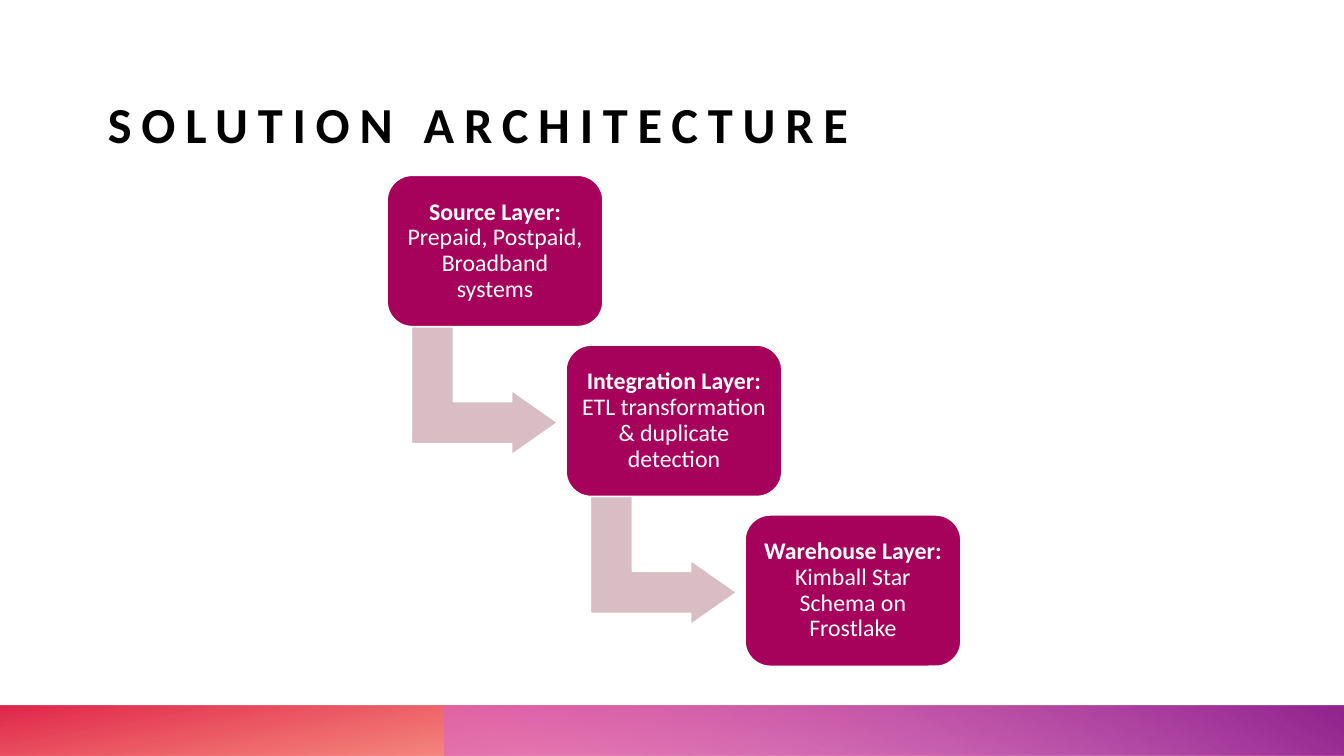
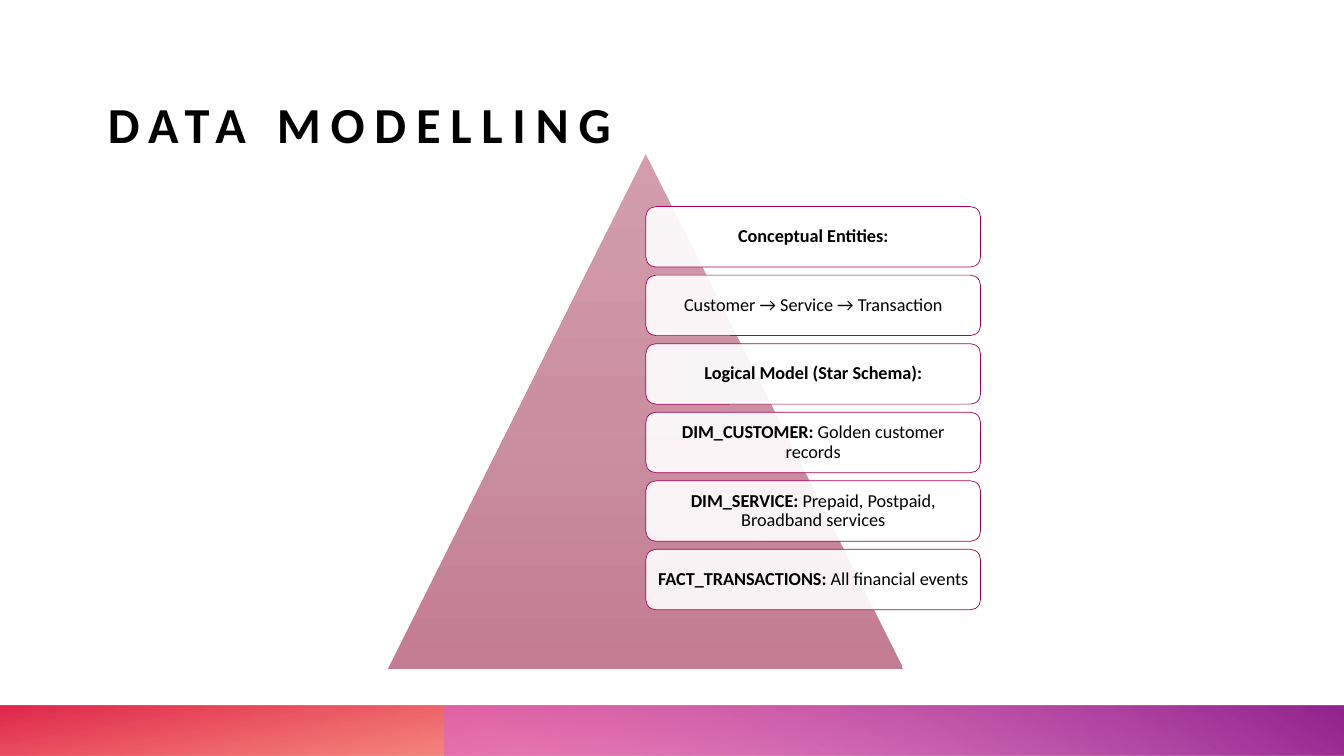
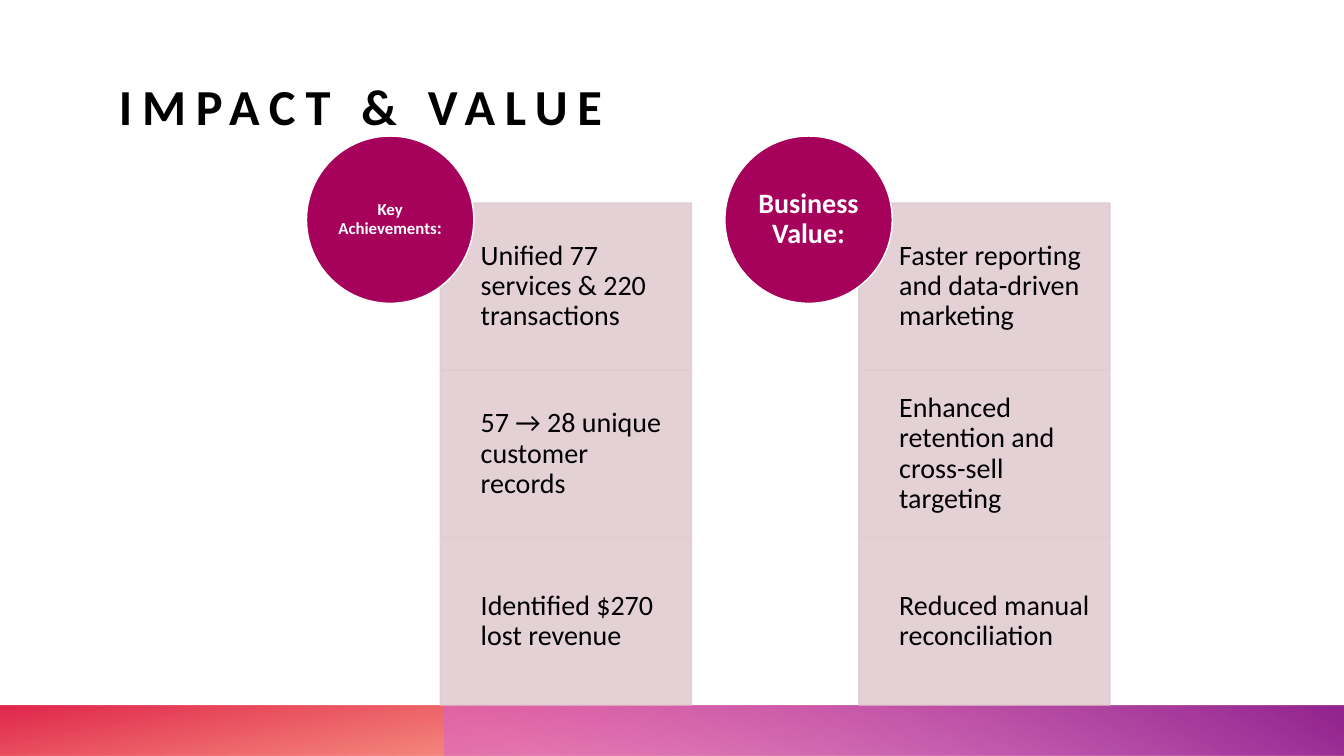
from pptx import Presentation
from pptx.dml.color import RGBColor
from pptx.enum.shapes import MSO_SHAPE as SHAPE
from pptx.enum.text import MSO_ANCHOR as ANCHOR, MSO_AUTO_SIZE, PP_ALIGN as ALIGN
from pptx.oxml import parse_xml
from pptx.oxml.ns import nsdecls, qn
from pptx.util import Inches, Pt

# Shared look
WIDTH, HEIGHT = 13.33, 7.5
BAND_H = 0.5
FONT = "Calibri"
BLACK, WHITE, MAGENTA = "000000", "FFFFFF", "A6025C"
ARROW, PANEL = "D8BDC4", "E1CCD2"
TITLE_BOX = (1.07, 0.18, 11.2, 1.35)

# Content: a run is (text, bold) or (text, bold, size)
LAYERS = [
    [("Source Layer:", True), (" Prepaid, Postpaid, Broadband systems", False)],
    [("Integration Layer:", True), (" ETL transformation & duplicate detection", False)],
    [("Warehouse Layer:", True), (" Kimball Star Schema on Frostlake", False)],
]
MODEL = [
    [("Conceptual Entities:", True)],
    [("Customer → Service → Transaction", False)],
    [("Logical Model (Star Schema):", True)],
    [("DIM_CUSTOMER:", True), (" Golden customer records", False)],
    [("DIM_SERVICE:", True), (" Prepaid, Postpaid, Broadband services", False)],
    [("FACT_TRANSACTIONS:", True), (" All financial events", False)],
]
IMPACT = [
    ([("Key Achievements", True, 12), (":", True, 13)],
     ["Unified 77 services & 220 transactions",
      "57 → 28 unique customer records",
      "Identified $270 lost revenue"]),
    ([("Business Value:", True, 20)],
     ["Faster reporting and data-driven marketing",
      "Enhanced retention and cross-sell targeting",
      "Reduced manual reconciliation"]),
]


def paint(fill, color, alpha=100):
    """Solid fill from a hex string, with opacity in percent."""
    fill.solid()
    fill.fore_color.rgb = RGBColor.from_string(color)
    if alpha < 100:
        clr = fill._xPr.find(".//" + qn("a:srgbClr"))
        clr.append(parse_xml(f'<a:alpha {nsdecls("a")} val="{alpha * 1000}"/>'))


def gradient(shape, stops, angle):
    """Linear gradient; stops are (position %, hex, opacity %)."""
    gs = "".join(
        f'<a:gs pos="{pos * 1000}"><a:srgbClr val="{color}">'
        f'<a:alpha val="{alpha * 1000}"/></a:srgbClr></a:gs>'
        for pos, color, alpha in stops)
    shape.fill.background()
    sp_pr = shape.element.spPr
    sp_pr.replace(sp_pr.find(qn("a:noFill")), parse_xml(
        f'<a:gradFill {nsdecls("a")} rotWithShape="1"><a:gsLst>{gs}</a:gsLst>'
        f'<a:lin ang="{angle * 60000}" scaled="0"/></a:gradFill>'))


def add_shape(s, kind, box, fill=None, line=None, line_w=1, alpha=100, line_alpha=100):
    sp = s.shapes.add_shape(kind, *map(Inches, box))
    sp.shadow.inherit = False
    if fill:
        paint(sp.fill, fill, alpha)
    if line:
        paint(sp.line.fill, line, line_alpha)
        sp.line.width = Pt(line_w)
    else:
        sp.line.fill.background()
    return sp


def write(sp, runs, size=20, color=BLACK, align=ALIGN.CENTER, anchor=ANCHOR.MIDDLE,
          insets=(0, 0, 0, 0), leading=0.9, spacing=0):
    tf = sp.text_frame
    tf.word_wrap = True
    tf.auto_size = MSO_AUTO_SIZE.NONE
    tf.vertical_anchor = anchor
    tf.margin_left, tf.margin_top, tf.margin_right, tf.margin_bottom = map(Inches, insets)
    p = tf.paragraphs[0]
    p.alignment, p.line_spacing = align, leading
    for words, bold, *own_size in runs:
        r = p.add_run()
        r.text = words
        r.font.name, r.font.bold = FONT, bold
        r.font.size = Pt(own_size[0] if own_size else size)
        r.font.color.rgb = RGBColor.from_string(color)
        if spacing:
            r._r.get_or_add_rPr().set("spc", str(spacing * 100))


def place(sp, box):
    sp.left, sp.top, sp.width, sp.height = map(Inches, box)


def add_slide(prs, title, box=TITLE_BOX):
    s = prs.slides.add_slide(prs.slide_layouts[5])
    place(s.shapes.title, box)
    write(s.shapes.title, [(title, True)], size=36, align=ALIGN.LEFT,
          anchor=ANCHOR.BOTTOM, spacing=7)
    return s


def move_bands_to_layout(s):
    """Draw the footer bands and hand them to the layout all slides share."""
    left = WIDTH - 8.92
    bands = [
        (0, 180, [(14, "FE4A00", 28), (100, "DA002F", 85)], 100),
        (left, 0, [(9, "D861D4", 55), (99, "92248E", 100)], 240),
    ]
    for x, rotation, stops, angle in bands:
        band = add_shape(s, SHAPE.RECTANGLE, (x, HEIGHT - BAND_H, WIDTH - x, BAND_H))
        gradient(band, stops, angle)
        band.rotation = rotation
        band.element.spPr.find(qn("a:xfrm")).set("flipH", "1")
        s.slide_layout.shapes.element.append(band.element)


def architecture(prs):
    s = add_slide(prs, "SOLUTION ARCHITECTURE")
    move_bands_to_layout(s)
    x0, y0, dx, dy = 3.84, 1.74, 1.775, 1.685
    for i, runs in enumerate(LAYERS):
        x, y = x0 + i * dx, y0 + i * dy
        if i < len(LAYERS) - 1:
            arrow = add_shape(s, SHAPE.BENT_UP_ARROW, (x + 0.33, y + 1.41, 1.27, 1.45),
                              ARROW, WHITE)
            arrow.rotation = 90
            for k, value in enumerate((0.328, 0.25, 0.358)):
                arrow.adjustments[k] = value
        box = add_shape(s, SHAPE.ROUNDED_RECTANGLE, (x, y, 2.14, 1.5), MAGENTA, WHITE)
        write(box, runs, size=17, color=WHITE, insets=(0.07,) * 4)


def modelling(prs):
    s = add_slide(prs, "DATA MODELLING")
    side = 5.11
    x, y = 3.85, 1.53
    triangle = add_shape(s, SHAPE.ISOSCELES_TRIANGLE, (x, y, side, side))
    gradient(triangle, [(0, "D39DAD", 100), (50, "CA90A1", 100), (100, "C37C92", 100)], 90)
    for i, runs in enumerate(MODEL):
        box = add_shape(s, SHAPE.ROUNDED_RECTANGLE,
                        (x + side / 2, 2.05 + i * 0.68, 3.32, 0.6),
                        WHITE, MAGENTA, line_w=0.5, alpha=90)
        write(box, runs, size=13, insets=(0.05,) * 4)


def impact(prs):
    s = add_slide(prs, "IMPACT & VALUE", (1.18, 0, 11.2, 1.35))
    x0, dx, y, unit = 3.04, 4.15, 1.35, 1.66
    for i, (heading, points) in enumerate(IMPACT):
        x = x0 + i * dx
        for j, point in enumerate(points):
            panel = add_shape(s, SHAPE.RECTANGLE,
                              (x + 0.8 * unit, y + (j + 0.4) * unit, 1.5 * unit, unit),
                              PANEL, PANEL, alpha=90, line_alpha=90)
            write(panel, [(point, False)], align=ALIGN.LEFT,
                  insets=(0.4, 0.16, 0.16, 0.16))
        circle = add_shape(s, SHAPE.OVAL, (x, y, unit, unit), MAGENTA, WHITE)
        write(circle, heading, color=WHITE)


def main():
    prs = Presentation()
    prs.slide_width, prs.slide_height = Inches(WIDTH), Inches(HEIGHT)
    architecture(prs)
    modelling(prs)
    impact(prs)
    prs.save("out.pptx")


if __name__ == "__main__":
    main()
